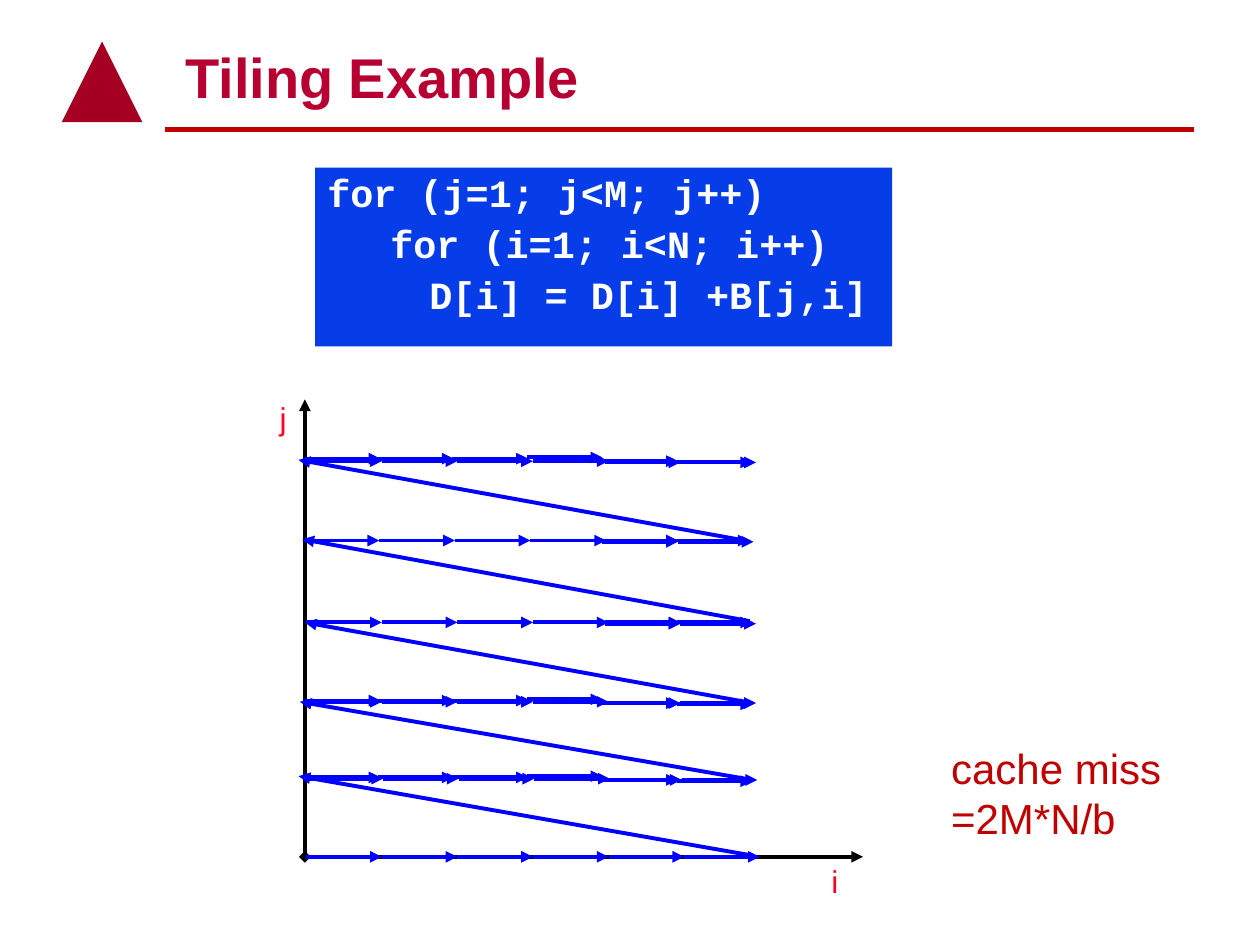
from lxml.etree import SubElement
from pptx import Presentation
from pptx.dml.color import RGBColor
from pptx.enum.shapes import MSO_CONNECTOR, MSO_SHAPE
from pptx.enum.text import MSO_ANCHOR, PP_ALIGN
from pptx.oxml.ns import qn
from pptx.util import Inches, Pt

TITLE_RED = RGBColor(0xB7, 0x00, 0x31)
RULE_RED = RGBColor(0xC0, 0x00, 0x00)
ORNAMENT_RED = RGBColor(0xA5, 0x00, 0x21)
AXIS_RED = RGBColor(0xFC, 0x01, 0x28)
CODE_BLUE = RGBColor(0x06, 0x3D, 0xE8)
PATH_BLUE = RGBColor(0x00, 0x00, 0xFF)
BLACK = RGBColor(0x00, 0x00, 0x00)
WHITE = RGBColor(0xFF, 0xFF, 0xFF)

# Code lines with their left indents
CODE = [
    ("for (j=1; j<M; j++)", 0),
    ("for (i=1; i<N; i++)", 0.5),
    ("D[i] = D[i] +B[j,i]", 0.81),
]

# Access steps along one row, as offsets (x, y) from the row start
STEP = 0.6
EVEN = [(STEP * n, 0) for n in range(6)]
STEPPED = EVEN[:4] + [(2.37, 0.01), (2.97, 0.01)]
CLOSE = [(0, 0), (0.58, 0), (1.17, 0), (1.76, -0.01), (2.36, 0.02), (2.95, 0.03)]
ROW_END = [(2.37, 0), (2.94, 0)]
ROWS = [
    (2.43, 6.8, EVEN),
    (2.44, 6.18, STEPPED), (2.42, 6.17, CLOSE),
    (2.43, 5.57, STEPPED), (2.42, 5.56, CLOSE),
    (2.43, 4.94, STEPPED), (2.43, 4.94, ROW_END),
    (2.41, 4.29, STEPPED), (2.41, 4.29, ROW_END),
    (2.43, 3.66, STEPPED), (2.42, 3.64, CLOSE),
]

# Jumps from the end of one row to the start of the next
JUMPS = [
    ((5.97, 6.79), (2.37, 6.16)),
    ((5.97, 6.19), (2.38, 5.57)),
    ((5.97, 5.58), (2.42, 4.94)),
    ((5.95, 4.93), (2.4, 4.28)),
    ((5.91, 4.29), (2.37, 3.65)),
]


def style_text(paragraph, font, size, color, bold=False):
    paragraph.alignment = PP_ALIGN.LEFT
    for run in paragraph.runs:
        run.font.name = font
        run.font.size = Pt(size)
        run.font.bold = bold
        run.font.color.rgb = color


def add_line(slide, start, end, color, width=2.25, head=None, tail=None):
    line = slide.shapes.add_connector(
        MSO_CONNECTOR.STRAIGHT, *(Inches(v) for v in (*start, *end)))
    line.line.color.rgb = color
    line.line.width = Pt(width)
    outline = line.line._get_or_add_ln()
    for tag, kind in (("a:headEnd", head), ("a:tailEnd", tail)):
        if kind:
            SubElement(outline, qn(tag)).set("type", kind)
    SubElement(line._element.spPr, qn("a:effectLst"))


def add_shape(slide, preset, box, fill):
    shape = slide.shapes.add_shape(preset, *(Inches(v) for v in box))
    shape.shadow.inherit = False
    shape.fill.solid()
    shape.fill.fore_color.rgb = fill
    shape.line.fill.background()
    return shape


def add_label(slide, box, text, size, color):
    frame = slide.shapes.add_textbox(*(Inches(v) for v in box)).text_frame
    frame.word_wrap = True
    frame.text = text
    for paragraph in frame.paragraphs:
        style_text(paragraph, "Arial", size, color)


def add_title(slide, text):
    title = slide.shapes.title
    title.left, title.top = Inches(1.37), Inches(0.25)
    title.width, title.height = Inches(8), Inches(0.67)
    title.text_frame.text = text
    title.text_frame.vertical_anchor = MSO_ANCHOR.BOTTOM
    style_text(title.text_frame.paragraphs[0], "Arial", 32, TITLE_RED, bold=True)


def add_code(slide):
    frame = add_shape(slide, MSO_SHAPE.RECTANGLE, (2.5, 1.33, 4.58, 1.42),
                      CODE_BLUE).text_frame
    frame.word_wrap = True
    frame.vertical_anchor = MSO_ANCHOR.TOP
    frame.text = "\n".join(text for text, _ in CODE)
    for number, (paragraph, (_, indent)) in enumerate(zip(frame.paragraphs, CODE)):
        paragraph._p.get_or_add_pPr().set("marL", str(Inches(indent)))
        paragraph.line_spacing = 0.9
        if number:
            paragraph.space_before = Pt(5.5)
        style_text(paragraph, "Courier New", 22, WHITE, bold=True)


def add_access_path(slide):
    for start, end in JUMPS:
        add_line(slide, start, end, PATH_BLUE, tail="triangle")
    for left, top, offsets in ROWS:
        for dx, dy in offsets:
            x, y = left + dx, top + dy
            add_line(slide, (x, y), (x + STEP, y), PATH_BLUE, tail="triangle")


def main():
    deck = Presentation()
    deck.slide_width, deck.slide_height = Inches(10), Inches(7.5)
    slide = deck.slides.add_slide(deck.slide_layouts[5])

    # Header
    add_line(slide, (1.31, 1.03), (9.48, 1.03), RULE_RED, width=3)
    add_shape(slide, MSO_SHAPE.ISOSCELES_TRIANGLE, (0.49, 0.33, 0.64, 0.64),
              ORNAMENT_RED)
    add_title(slide, "Tiling Example")

    # Loop nest
    add_code(slide)

    # Axes and access order
    origin = (2.42, 6.8)
    add_line(slide, (2.42, 3.17), origin, BLACK, head="triangle")
    add_line(slide, origin, (6.85, 6.8), BLACK, head="diamond", tail="triangle")
    add_label(slide, (2.12, 3.12, 0.38, 0.4), "j", 18, AXIS_RED)
    add_label(slide, (6.5, 6.79, 0.38, 0.4), "i", 18, AXIS_RED)
    add_access_path(slide)

    # Cost
    add_label(slide, (7.45, 5.84, 2.03, 0.9), "cache miss\n=2M*N/b", 24, RULE_RED)

    deck.save("out.pptx")


if __name__ == "__main__":
    main()
